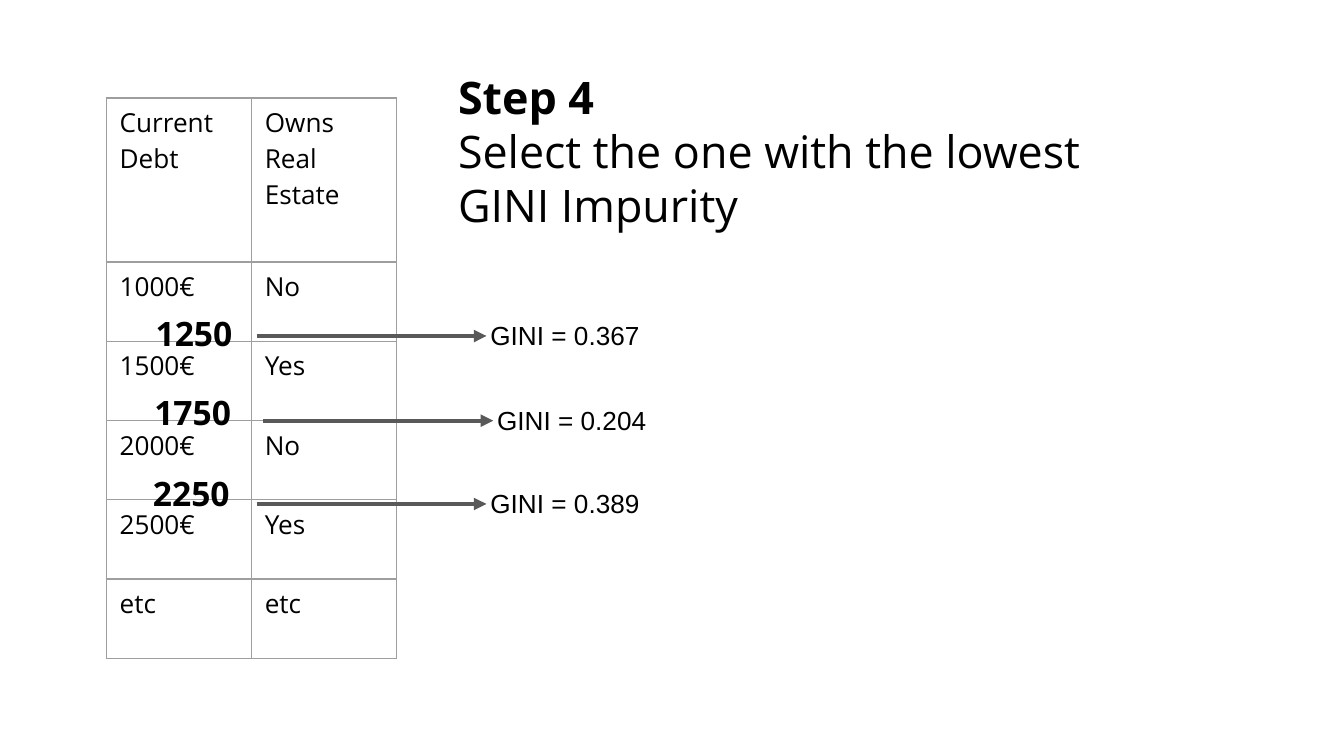
from pptx import Presentation
from pptx.dml.color import RGBColor
from pptx.enum.shapes import MSO_CONNECTOR
from pptx.enum.text import MSO_ANCHOR
from pptx.oxml import parse_xml
from pptx.oxml.ns import nsdecls, qn
from pptx.util import Inches, Pt
from lxml import etree

BLACK = RGBColor(0x00, 0x00, 0x00)
ARROW_GREY = RGBColor(0x59, 0x59, 0x59)
BORDER_GREY = RGBColor(0x9E, 0x9E, 0x9E)

TITLE = {"name": "Open Sans", "size": Pt(24), "bold": False}
CELL = {"name": "Open Sans", "size": Pt(14), "bold": False}
THRESHOLD = {"name": "Open Sans", "size": Pt(18), "bold": True}
GINI = {"name": "Arial", "size": Pt(14)}

ROWS = [
    ("Current\nDebt", "Owns Real Estate"),
    ("1000€", "No"),
    ("1500€", "Yes"),
    ("2000€", "No"),
    ("2500€", "Yes"),
    ("etc", "etc"),
]

# threshold, its left and top, arrow left and y, impurity
SPLITS = [
    ("1250", 1.06, 2.23, 1.91, 2.5, "GINI = 0.367"),
    ("1750", 1.05, 2.82, 1.96, 3.13, "GINI = 0.204"),
    ("2250", 1.04, 3.42, 1.91, 3.75, "GINI = 0.389"),
]


def style_text(tf, formats):
    for p in tf.paragraphs:
        for r in p.runs:
            for name, value in formats.items():
                setattr(r.font, name, value)
            r.font.color.rgb = BLACK


def add_text(s, text, left, top, width, height, formats):
    tf = s.shapes.add_textbox(
        Inches(left), Inches(top), Inches(width), Inches(height)).text_frame
    tf.word_wrap = True
    tf.vertical_anchor = MSO_ANCHOR.TOP
    for side in ("left", "top", "right", "bottom"):
        setattr(tf, f"margin_{side}", Inches(0.1))
    tf.text = text
    style_text(tf, formats)
    return tf


def add_title(s):
    tf = add_text(s, "Step 4\nSelect the one with the lowest\vGINI Impurity",
                  3.31, 0.42, 6.37, 0.65, TITLE)
    tf.paragraphs[0].runs[0].font.bold = True


def set_borders(cell):
    tcPr = cell._tc.get_or_add_tcPr()
    for index, side in enumerate(("lnL", "lnR", "lnT", "lnB")):
        tcPr.insert(index, parse_xml(
            f'<a:{side} {nsdecls("a")} w="{Pt(0.75)}"><a:solidFill>'
            f'<a:srgbClr val="{BORDER_GREY}"/></a:solidFill></a:{side}>'))


def add_debt_table(s):
    table = s.shapes.add_table(len(ROWS), 2, Inches(0.79), Inches(0.73),
                               Inches(2.16), Inches(4.16)).table
    for column in table.columns:
        column.width = Inches(1.08)
    for i, (row, texts) in enumerate(zip(table.rows, ROWS)):
        row.height = Inches(0.59 if i else 1.22)
        for cell, text in zip(row.cells, texts):
            cell.text = text
            cell.fill.background()
            style_text(cell.text_frame, CELL)
            set_borders(cell)


def add_arrow(s, left, y):
    arrow = s.shapes.add_connector(MSO_CONNECTOR.STRAIGHT, Inches(left),
                                   Inches(y), Inches(left + 1.71), Inches(y))
    arrow.line.color.rgb = ARROW_GREY
    arrow.line.width = Pt(2.25)
    spPr = arrow._element.spPr
    etree.SubElement(spPr.get_or_add_ln(), qn("a:tailEnd"), type="triangle")
    etree.SubElement(spPr, qn("a:effectLst"))


def main():
    prs = Presentation()
    prs.slide_width = Inches(10)
    prs.slide_height = prs.slide_width * 9 // 16
    s = prs.slides.add_slide(prs.slide_layouts[6])
    add_debt_table(s)
    add_title(s)
    for threshold, left, top, arrow_left, y, gini in SPLITS:
        add_text(s, threshold, left, top, 1.13, 0.26, THRESHOLD)
        add_arrow(s, arrow_left, y)
        add_text(s, gini, arrow_left + 1.64, y - 0.22, 3.28, 0.36, GINI)
    prs.save("out.pptx")


if __name__ == "__main__":
    main()
